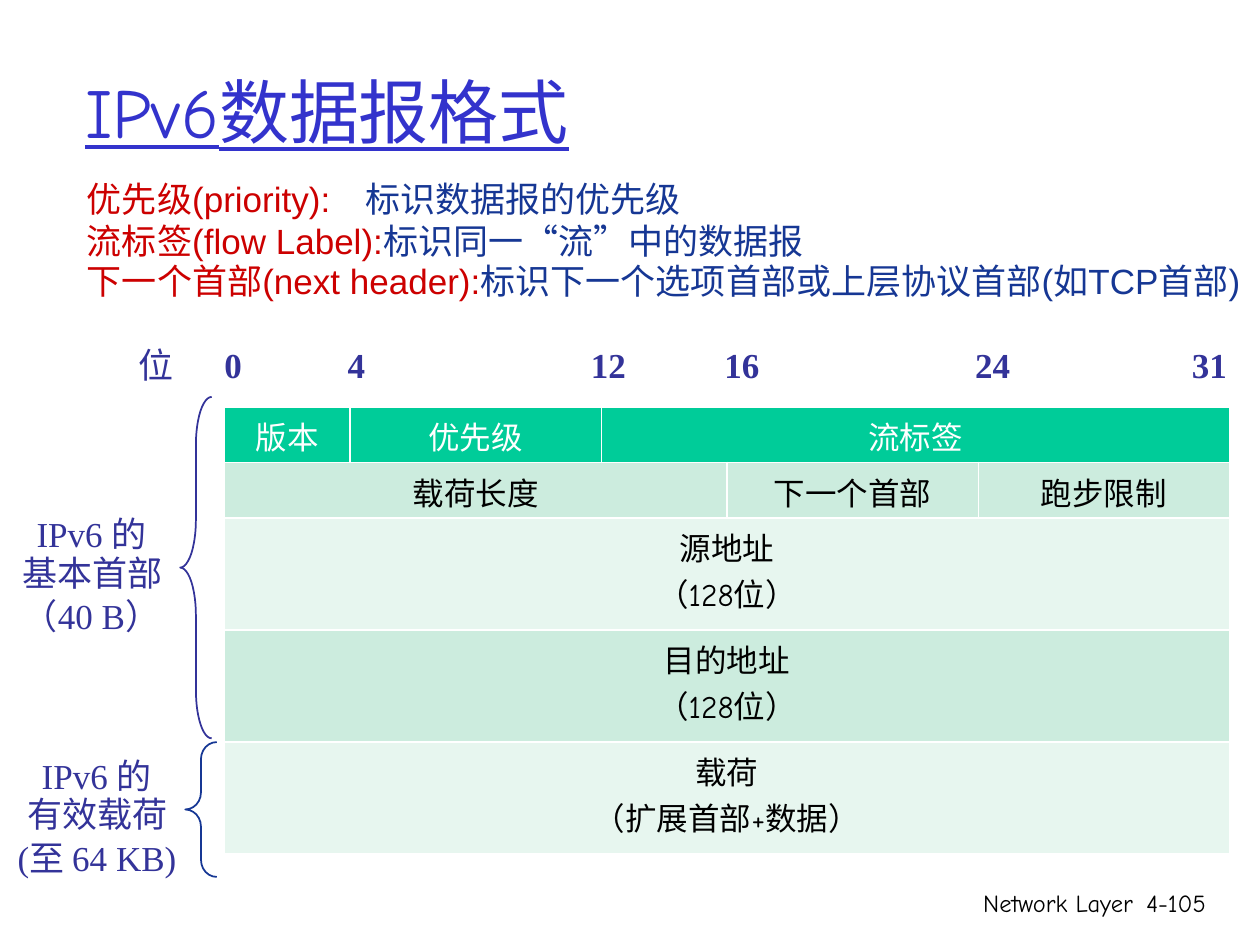
import pptx
import pptx.util
import pptx.dml.color
import pptx.enum.shapes
import pptx.enum.text
import pptx.oxml
import pptx.oxml.ns
from dataclasses import dataclass

Inches, Pt = pptx.util.Inches, pptx.util.Pt
Align = pptx.enum.text.PP_ALIGN
Anchor = pptx.enum.text.MSO_ANCHOR
NS = pptx.oxml.ns.nsdecls("a")


@dataclass
class Theme:
    comic: str = "Comic Neue"
    times: str = "Times New Roman"
    arial: str = "Arial"
    title: str = "3333CC"
    label: str = "333399"
    term: str = "CC0000"
    note: str = "163794"
    head: str = "00CC99"
    dark: str = "CCECDE"
    pale: str = "E7F6EF"
    black: str = "000000"
    white: str = "FFFFFF"
    huge: int = 40
    body: int = 20
    cell: int = 18
    small: int = 14


def rgb(code):
    return pptx.dml.color.RGBColor.from_string(code)


class Page:
    def __init__(self, slide, theme):
        self.slide, self.theme = slide, theme

    def run(self, para, text, size, font, color, bold=False, under=False):
        run = para.add_run()
        run.text = text
        style = run.font
        style.size, style.name = Pt(size), font
        style.color.rgb = rgb(color)
        style.bold, style.underline = bold, under

    def box(self, left, top, width, height, wrap=True, pad=(0, 0, 0, 0.05)):
        shape = self.slide.shapes.add_textbox(
            Inches(left), Inches(top), Inches(width), Inches(height))
        frame = shape.text_frame
        frame.word_wrap = wrap
        (frame.margin_left, frame.margin_top,
         frame.margin_right, frame.margin_bottom) = map(Inches, pad)
        return frame

    def line(self, frame, first, gap, indent=0, tab=None):
        para = frame.paragraphs[0] if first else frame.add_paragraph()
        para.line_spacing = Pt(gap)
        props = para._p.get_or_add_pPr()
        if indent:
            props.set("marL", str(Inches(indent)))
        if tab:
            props.append(pptx.oxml.parse_xml(
                f'<a:tabLst {NS}><a:tab pos="{Inches(tab)}" algn="l"/></a:tabLst>'))
        return para

    def brace(self, left, top, width, height, bend, color):
        shape = self.slide.shapes.add_shape(
            pptx.enum.shapes.MSO_SHAPE.LEFT_BRACE,
            Inches(left), Inches(top), Inches(width), Inches(height))
        shape.shadow.inherit = False
        shape.adjustments[0] = bend
        shape.fill.background()
        shape.line.color.rgb = rgb(color)
        shape.line.width = Pt(1)

    def cell(self, cell, lines, fill, color):
        props = cell._tc.get_or_add_tcPr()
        for side in "LRTB":
            props.append(pptx.oxml.parse_xml(
                f'<a:ln{side} {NS} w="{Pt(1)}"><a:solidFill><a:srgbClr '
                f'val="{self.theme.white}"/></a:solidFill></a:ln{side}>'))
        cell.fill.solid()
        cell.fill.fore_color.rgb = rgb(fill)
        for i, text in enumerate(lines):
            frame = cell.text_frame
            para = frame.add_paragraph() if i else frame.paragraphs[0]
            para.alignment = Align.CENTER
            self.run(para, text, self.theme.cell, self.theme.comic, color)

    def table(self, left, top, cols, highs, rows):
        table = self.slide.shapes.add_table(
            len(highs), len(cols), Inches(left), Inches(top),
            Inches(sum(cols)), Inches(sum(highs))).table
        table.first_row = table.horz_banding = False
        for col, width in zip(table.columns, cols):
            col.width = Inches(width)
        for row, high in zip(table.rows, highs):
            row.height = Inches(high)
        for r, (fill, color, fields) in enumerate(rows):
            c = 0
            for span, lines in fields:
                cell = table.cell(r, c)
                if span > 1:
                    cell.merge(table.cell(r, c + span - 1))
                self.cell(cell, lines, fill, color)
                c += span


def main():
    deck = pptx.Presentation()
    deck.slide_width, deck.slide_height = Inches(10), Inches(7.5)
    t = Theme()
    page = Page(deck.slides.add_slide(deck.slide_layouts[6]), t)
    pad = (0.1, 0.05, 0.1, 0.05)

    # Title
    frame = page.box(0.58, 0.25, 8.5, 1.25, pad=pad)
    frame.vertical_anchor = Anchor.MIDDLE
    page.run(frame.paragraphs[0], "IPv6数据报格式", t.huge, t.comic, t.title,
             under=True)

    # Footer
    for left, width, text in ((5.92, 3.17, "Network Layer"), (8.93, 0.74, "4-105")):
        para = page.box(left, 7, width, 0.5, pad=pad).paragraphs[0]
        para.alignment = Align.RIGHT
        page.run(para, text, t.small, t.comic, t.black)

    # Braces
    page.brace(1.43, 3.15, 0.25, 2.71, 1.52, t.label)
    page.brace(1.47, 5.89, 0.25, 1.07, 0.54, t.note)

    # Bit scale
    marks = (("0", 1.78), ("4", 2.76), ("12", 4.69), ("16", 5.75),
             ("24", 7.74), ("31", 9.46))
    for text, left in marks:
        frame = page.box(left, 2.81, 0.15 * len(text), 0.25, wrap=False)
        page.run(page.line(frame, True, 18), text, t.body, t.times, t.label,
                 bold=True)
    frame = page.box(1.1, 2.78, 0.28, 0.28, wrap=False)
    page.run(page.line(frame, True, 20), "位", t.body, t.times, t.label)

    # Brace labels: text, line gap, indent
    sides = (
        (4.11, 1, (("IPv6 的", 21, 0.15), ("基本首部", 22, 0.04),
                   ("（40 B）", 25, 0.04))),
        (6.03, 1.3, (("IPv6 的", 21, 0.19), ("有效载荷", 22, 0.08),
                     ("(至 64 KB)", 25, 0))),
    )
    for top, height, lines in sides:
        frame = page.box(0.14, top, 1.29, height)
        for i, (text, gap, indent) in enumerate(lines):
            para = page.line(frame, i == 0, gap, indent)
            page.run(para, text, t.body, t.times, t.label)

    # Field notes: line gap, tab stop, term, English name, meaning
    notes = (
        (23, 2.21, "优先级", "(priority):\t", (("标识数据报的优先级", t.times),)),
        (24, None, "流标签", "(flow Label):",
         (("标识同一“流”中的数据报", t.times),)),
        (23, None, "下一个首部", "(next header):",
         (("标识下一个选项首部或上层协议首部", t.times), ("(", t.arial),
          ("如", t.times), ("TCP", t.arial), ("首部", t.times), (")", t.arial))),
    )
    frame = page.box(0.69, 1.42, 9.22, 1.34)
    for i, (gap, tab, term, name, parts) in enumerate(notes):
        para = page.line(frame, i == 0, gap, tab=tab)
        page.run(para, term, t.body, t.times, t.term)
        page.run(para, name, t.body, t.arial, t.term)
        for text, font in parts:
            page.run(para, text, t.body, font, t.note)

    # Header fields: column span, lines
    rows = (
        (t.head, t.white, ((1, ["版本"]), (1, ["优先级"]), (3, ["流标签"]))),
        (t.dark, t.black, ((3, ["载荷长度"]), (1, ["下一个首部"]),
                           (1, ["跑步限制"]))),
        (t.pale, t.black, ((5, ["源地址", "（128位）"]),)),
        (t.dark, t.black, ((5, ["目的地址", "（128位）"]),)),
        (t.pale, t.black, ((5, ["载荷", "（扩展首部+数据）"]),)),
    )
    unit = 7.98 / 8
    page.table(1.78, 3.23, [unit * n for n in (1, 2, 1, 2, 2)],
               [0.44] * 2 + [0.89] * 3, rows)

    deck.save("out.pptx")


if __name__ == "__main__":
    main()
